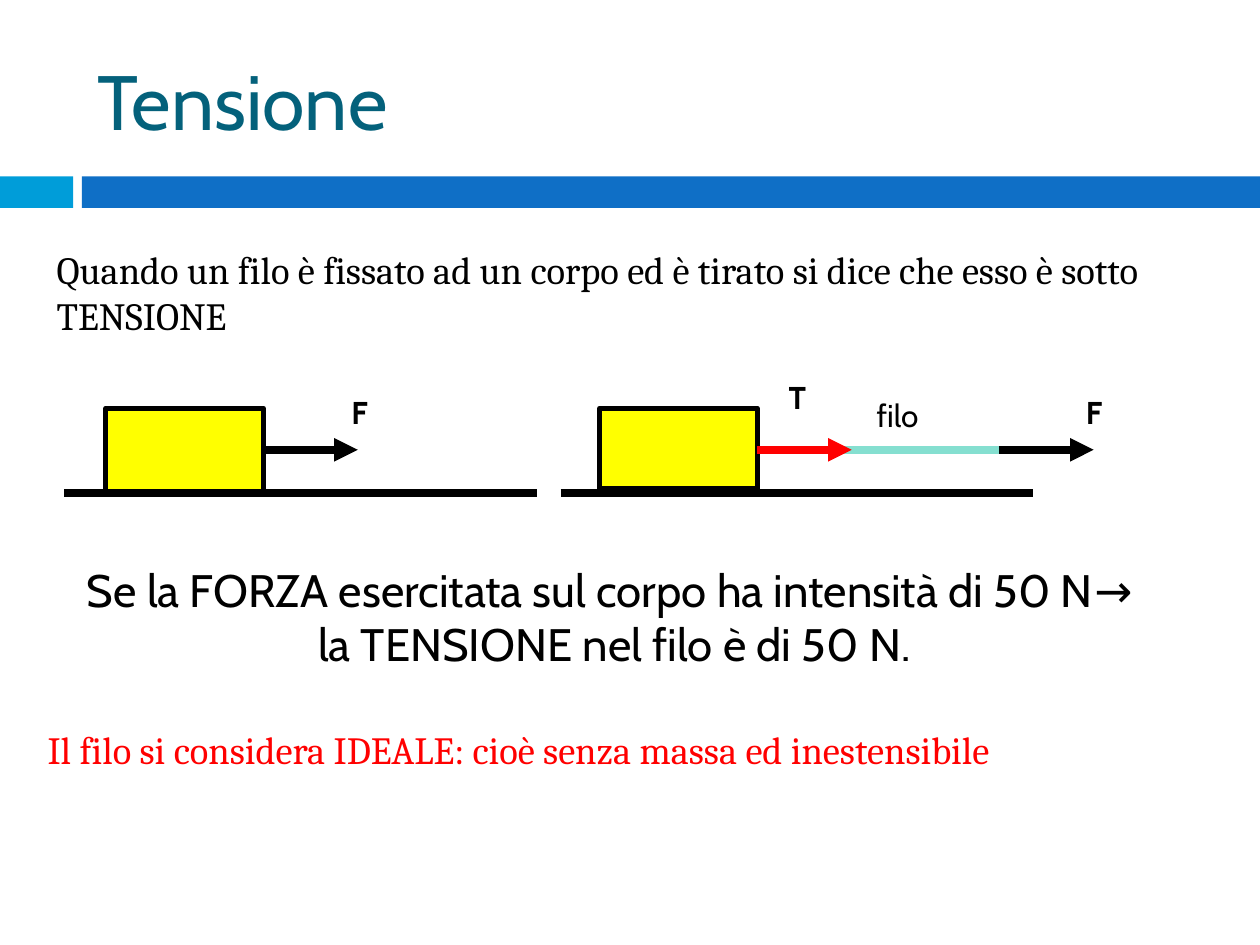
"""Build a slide on the tension in a string pulled by a force."""
from lxml import etree
from pptx import Presentation
from pptx.dml.color import RGBColor
from pptx.enum.shapes import MSO_CONNECTOR as CONNECTOR, MSO_SHAPE as SHAPE
from pptx.enum.text import MSO_ANCHOR as ANCHOR, MSO_AUTO_SIZE as AUTO_SIZE, PP_ALIGN as ALIGN
from pptx.oxml.ns import qn
from pptx.util import Inches, Pt


def color(value):
    return RGBColor.from_string(value)


def write(shape, text, box, size, font="Cabin", ink="000000", bold=False,
          align=ALIGN.LEFT, anchor=ANCHOR.TOP, wrap=True):
    shape.left, shape.top, shape.width, shape.height = map(Inches, box)
    frame = shape.text_frame
    frame.text = text
    frame.word_wrap = wrap
    frame.auto_size = AUTO_SIZE.NONE
    frame.vertical_anchor = anchor
    for paragraph in frame.paragraphs:
        paragraph.alignment = align
        paragraph.font.size = Pt(size)
        paragraph.font.name = font
        paragraph.font.bold = bold
        paragraph.font.color.rgb = color(ink)


presentation = Presentation()
presentation.slide_width, presentation.slide_height = Inches(10), Inches(7.5)
slide = presentation.slides.add_slide(presentation.slide_layouts[1])
shapes = slide.shapes

write(shapes.title, "Tensione", (0.67, 0.25, 8.92, 1.08), 44, ink="04617B", anchor=ANCHOR.MIDDLE)

body = slide.placeholders[1]
write(body, "Quando un filo è fissato ad un corpo ed è tirato si dice che esso è sotto TENSIONE",
      (0, 1.9, 9.19, 0.67), 22, font="Cambria")
paragraph = body.text_frame.paragraphs[0]
paragraph.space_before = Pt(7)
properties = paragraph._p.get_or_add_pPr()
properties.set("marL", str(Inches(0.35)))
properties.set("indent", "0")
etree.SubElement(properties, qn("a:buNone"))

rectangles = [
    (0, 1.4, 0.58, 0.25, "009DD9", False),
    (0.65, 1.4, 9.35, 0.25, "0F6FC6", False),
    (0.84, 3.24, 1.25, 0.67, "FFFF00", True),
    (4.76, 3.24, 1.25, 0.64, "FFFF00", True),
]
for left, top, width, height, fill, outlined in rectangles:
    rectangle = shapes.add_shape(SHAPE.RECTANGLE, *map(Inches, (left, top, width, height)))
    rectangle.shadow.inherit = False
    rectangle.fill.solid()
    rectangle.fill.fore_color.rgb = color(fill)
    if outlined:
        rectangle.line.color.rgb = color("000000")
        rectangle.line.width = Pt(3)
    else:
        rectangle.line.fill.background()

ground, pull = 3.91, 3.57
lines = [
    (0.51, 4.26, ground, "000000", False),
    (4.45, 8.2, ground, "000000", False),
    (2.09, 2.84, pull, "000000", True),
    (7.93, 8.68, pull, "000000", True),
    (7.93, 6.01, pull, "85DFD0", False),
    (6.01, 6.76, pull, "FF0000", True),
]
for start, end, height, ink, arrow in lines:
    line = shapes.add_connector(CONNECTOR.STRAIGHT, *map(Inches, (start, height, end, height)))
    line.line.color.rgb = color(ink)
    line.line.width = Pt(4.5)
    if arrow:
        etree.SubElement(line.line._get_or_add_ln(), qn("a:tailEnd"), type="triangle")
    etree.SubElement(line._element.spPr, qn("a:effectLst"))

labels = [
    ("F", 2.69, 3.07, 0.4, True),
    ("F", 8.52, 3.07, 0.4, True),
    ("filo", 6.86, 3.09, 0.66, False),
    ("T", 6.16, 2.95, 0.42, True),
]
for text, left, top, width, bold in labels:
    label = shapes.add_textbox(0, 0, 0, 0)
    write(label, text, (left, top, width, 0.5), 18, bold=bold, wrap=False)

example = shapes.add_textbox(0, 0, 0, 0)
write(example, "Se la FORZA esercitata sul corpo ha intensità di 50 N→ \nla TENSIONE nel filo è di 50 N.",
      (0.35, 4.41, 9.06, 1.41), 26, align=ALIGN.CENTER)
ideal = shapes.add_textbox(0, 0, 0, 0)
write(ideal, "Il filo si considera IDEALE: cioè senza massa ed inestensibile",
      (0.28, 5.71, 9, 1.58), 22, font="Cambria", ink="FF0000")

presentation.save("out.pptx")
